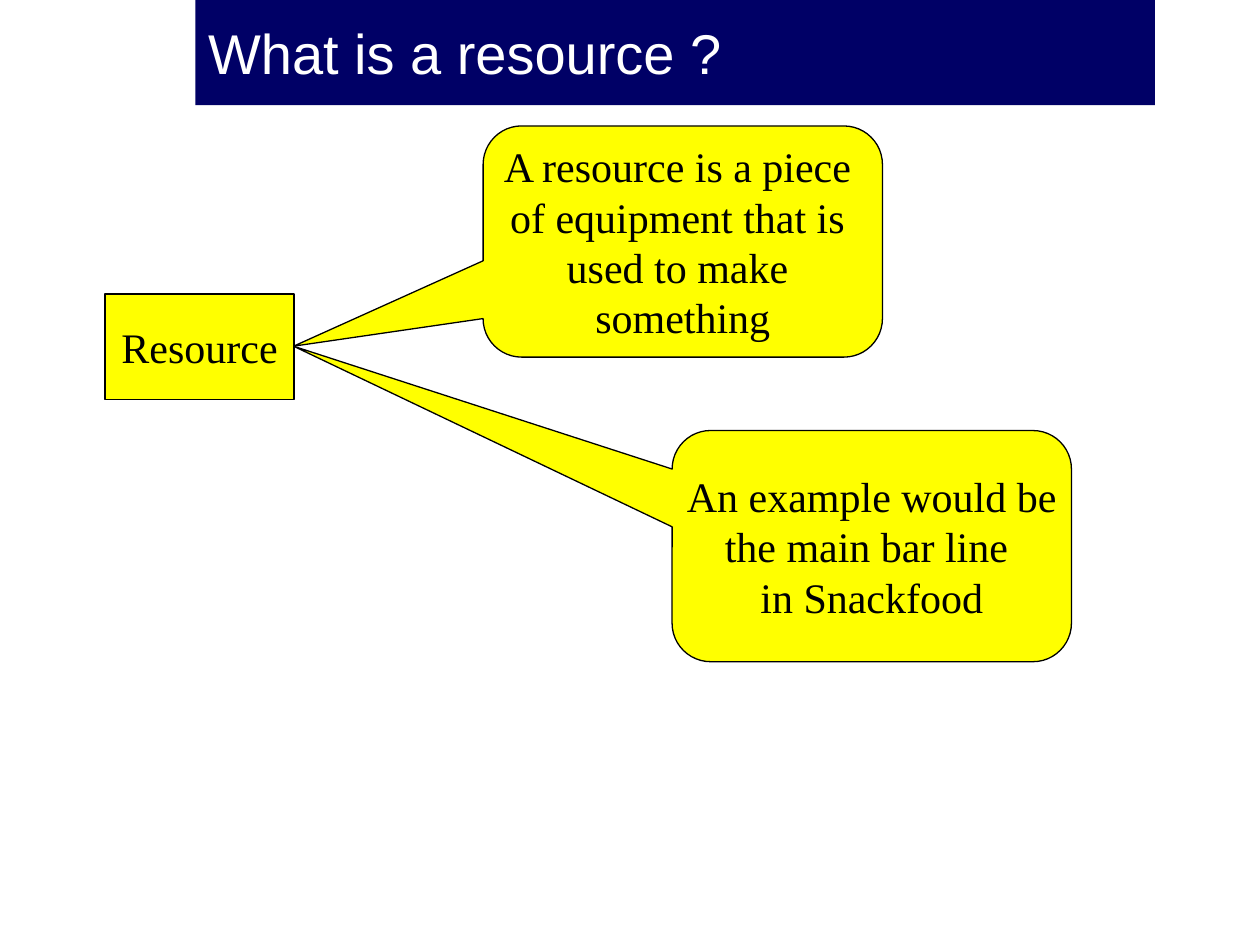
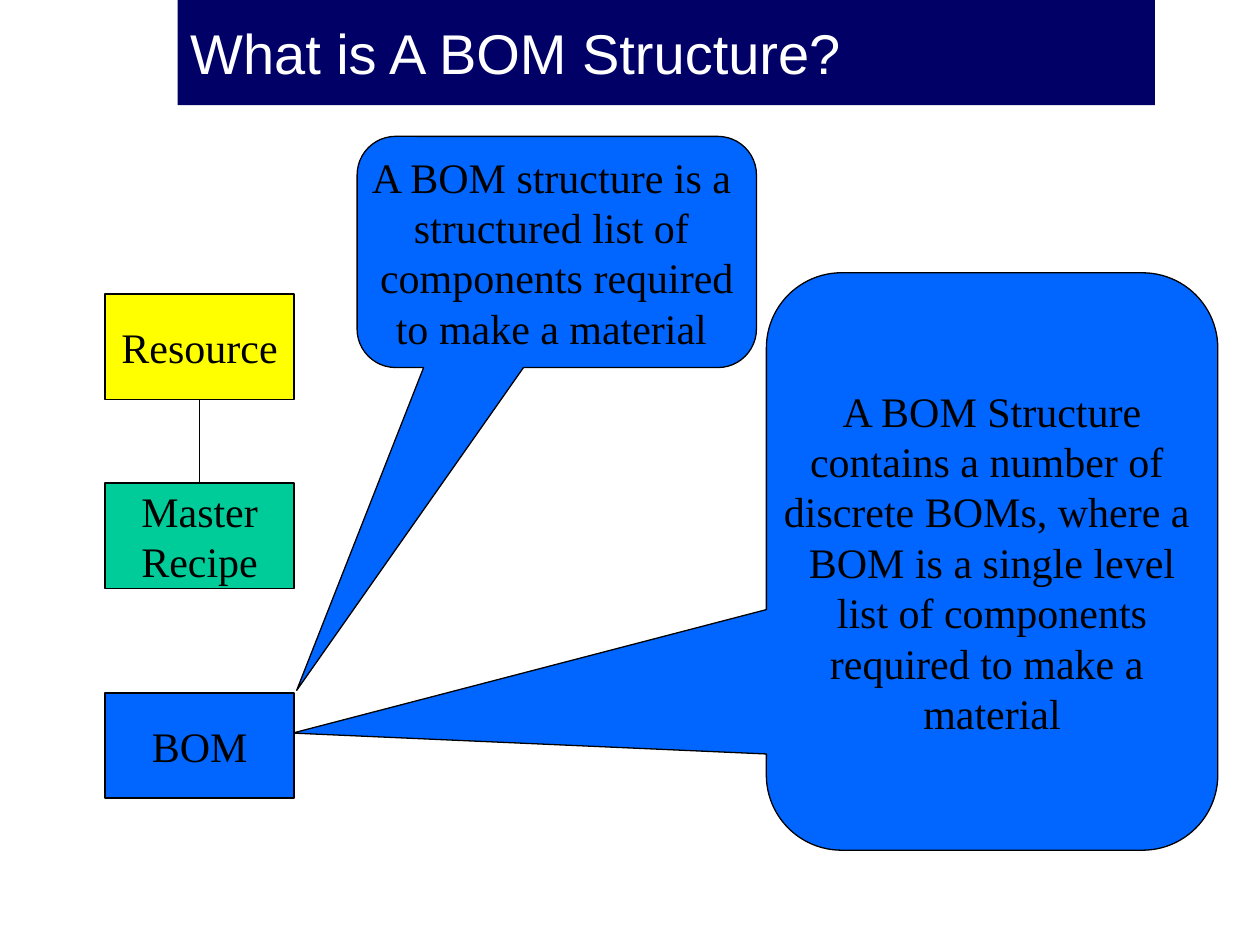
from lxml import etree
from pptx import Presentation
from pptx.dml.color import RGBColor
from pptx.enum.shapes import MSO_CONNECTOR, MSO_SHAPE
from pptx.enum.text import MSO_ANCHOR, MSO_AUTO_SIZE, PP_ALIGN
from pptx.oxml.ns import qn
from pptx.util import Cm, Pt

RECTANGLE = MSO_SHAPE.RECTANGLE
CALLOUT = MSO_SHAPE.ROUNDED_RECTANGULAR_CALLOUT
STRAIGHT = MSO_CONNECTOR.STRAIGHT
MIDDLE = MSO_ANCHOR.MIDDLE
NO_AUTOFIT = MSO_AUTO_SIZE.NONE
LEFT, CENTER = PP_ALIGN.LEFT, PP_ALIGN.CENTER

COLORS = {
    "band": "000066",
    "title": "FFFFFF",
    "ink": "000000",
    "resource": "FFFF00",
    "recipe": "00CC99",
    "bom": "0066FF",
}
TITLE_FONT, BODY_FONT = "Arial", "Times New Roman"
LINE_WIDTH = Pt(0.74)

BAND_RIGHT, BAND_HEIGHT = 23.28, 2.12
BOX_LEFT, BOX_WIDTH, BOX_HEIGHT = 2.12, 3.81, 2.12
RESOURCE_TOP, RECIPE_TOP, BOM_TOP = 5.93, 9.74, 13.97
NOTE_SIZE = (8.05, 4.66)


def rgb(name):
    return RGBColor.from_string(COLORS[name])


def fill_shape(shape, color):
    shape.fill.solid()
    shape.fill.fore_color.rgb = rgb(color)


def write_lines(text_frame, lines, font, size, color, alignment):
    text_frame.vertical_anchor = MIDDLE
    for index, line in enumerate(lines):
        paragraph = text_frame.add_paragraph() if index else text_frame.paragraphs[0]
        paragraph.alignment = alignment
        run = paragraph.add_run()
        run.text = line
        run.font.name = font
        run.font.size = Pt(size)
        run.font.color.rgb = rgb(color)


def add_titled_slide(presentation, title, band_left):
    slide = presentation.slides.add_slide(presentation.slide_layouts[5])
    band = slide.shapes.title
    band.left, band.top = Cm(band_left), Cm(0)
    band.width, band.height = Cm(BAND_RIGHT - band_left), Cm(BAND_HEIGHT)
    fill_shape(band, "band")
    band.text_frame.auto_size = NO_AUTOFIT
    write_lines(band.text_frame, [title], TITLE_FONT, 32, "title", LEFT)
    return slide


def add_labelled_shape(slide, kind, position, size, color, lines):
    shape = slide.shapes.add_shape(kind, *map(Cm, position + size))
    shape.shadow.inherit = False
    fill_shape(shape, color)
    shape.line.color.rgb = rgb("ink")
    shape.line.width = LINE_WIDTH
    shape.text_frame.word_wrap = False
    write_lines(shape.text_frame, lines, BODY_FONT, 24, "ink", CENTER)
    return shape


def add_box(slide, top, color, lines):
    add_labelled_shape(slide, RECTANGLE, (BOX_LEFT, top),
                       (BOX_WIDTH, BOX_HEIGHT), color, lines)


def add_callout(slide, position, size, tip, color, lines):
    callout = add_labelled_shape(slide, CALLOUT, position, size, color, lines)
    for axis in range(2):
        offset = (tip[axis] - position[axis]) / size[axis] - 0.5
        callout.adjustments[axis] = offset


def add_link(slide, upper_top, lower_top):
    center = Cm(BOX_LEFT + BOX_WIDTH / 2)
    link = slide.shapes.add_connector(
        STRAIGHT, center, Cm(upper_top + BOX_HEIGHT), center, Cm(lower_top))
    link.line.color.rgb = rgb("ink")
    link.line.width = LINE_WIDTH
    etree.SubElement(link._element.spPr, qn("a:effectLst"))


def build_resource_slide(presentation):
    slide = add_titled_slide(presentation, "What is a resource ?", 3.94)
    add_box(slide, RESOURCE_TOP, "resource", ["Resource"])
    tip = (5.92, 6.98)
    add_callout(slide, (9.74, 2.54), NOTE_SIZE, tip, "resource", [
        "A resource is a piece ",
        "of equipment that is ",
        "used to make ",
        "something",
    ])
    add_callout(slide, (13.55, 8.68), NOTE_SIZE, tip, "resource", [
        "An example would be",
        "the main bar line ",
        "in Snackfood",
    ])


def build_bom_slide(presentation):
    slide = add_titled_slide(presentation, "What is A BOM Structure?", 3.58)
    add_box(slide, RESOURCE_TOP, "resource", ["Resource"])
    add_callout(slide, (7.2, 2.75), NOTE_SIZE, (5.98, 13.92), "bom", [
        "A BOM structure is a ",
        "structured list of ",
        "components required",
        "to make a material ",
    ])
    add_box(slide, RECIPE_TOP, "recipe", ["Master", "Recipe"])
    add_link(slide, RESOURCE_TOP, RECIPE_TOP)
    add_callout(slide, (15.45, 5.5), (9.1, 11.64), (5.9, 14.78), "bom", [
        "A BOM Structure",
        "contains a number of ",
        "discrete BOMs, where a ",
        "BOM is a single level",
        "list of components",
        "required to make a ",
        "material",
    ])
    add_box(slide, BOM_TOP, "bom", ["BOM"])


def main():
    presentation = Presentation()
    presentation.slide_width, presentation.slide_height = Cm(25.4), Cm(19.05)
    build_resource_slide(presentation)
    build_bom_slide(presentation)
    presentation.save("out.pptx")


main()
